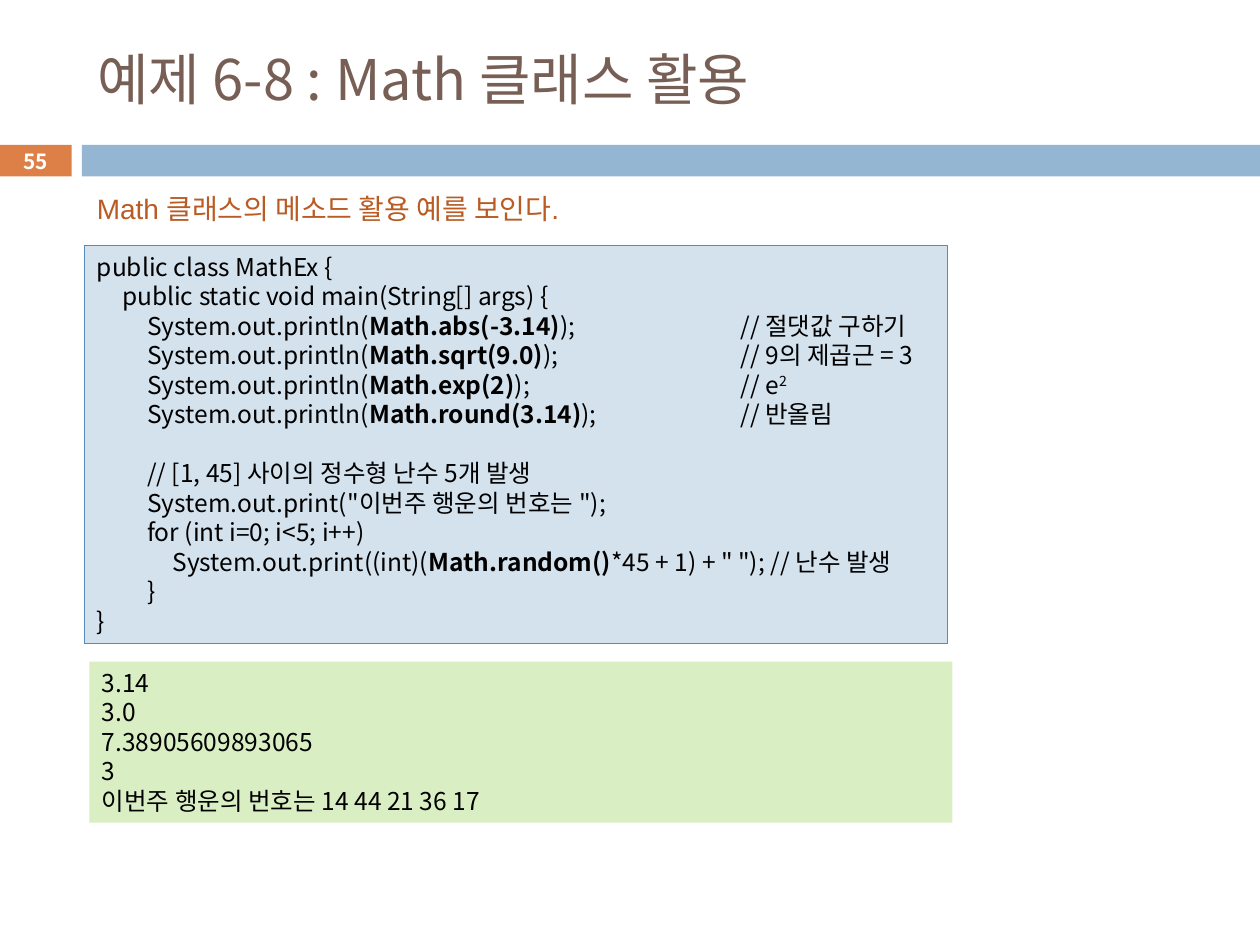
from dataclasses import dataclass

from lxml import etree
from pptx import Presentation, util as u
from pptx.dml.color import RGBColor
from pptx.enum import shapes, text
from pptx.oxml import ns

Inches, Pt = u.Inches, u.Pt
BOLD, SUPERSCRIPT = {"bold": True}, {"baseline": "30000"}


@dataclass(frozen=True)
class Theme:
    """Colours, fonts and sizes of the slide."""
    sans: str = "Noto Sans CJK KR"
    latin: str = "Arial"
    title: str = "775F55"
    subtitle: str = "B95B22"
    body: str = "000000"
    white: str = "FFFFFF"
    badge: str = "DD8047"
    band: str = "94B6D2"
    code_fill: str = "D4E2ED"
    code_line: str = "558BB8"
    output_fill: str = "DAEEC4"
    title_size: float = 32
    subtitle_size: float = 16
    body_size: float = 14
    number_size: float = 11.9
    line_pitch: float = 16.85


THEME = Theme()
TAB_STOPS = (0.2, 0.4, 0.6, 5.11)


def call(method, comment):
    """Return the runs of a print line with its trailing comment."""
    return [("\t\tSystem.out.println(", {}), (method, BOLD), (f"); \t// {comment}", {})]


CODE = [
    [("public class MathEx {", {})],
    [("\tpublic static void main(String[] args) {", {})],
    call("Math.abs(-3.14)", "절댓값 구하기"),
    call("Math.sqrt(9.0)", "9의 제곱근 = 3"),
    call("Math.exp(2)", "e") + [("2", SUPERSCRIPT)],
    call("Math.round(3.14)", "반올림"),
    [],
    [("\t\t// [1, 45] 사이의 정수형 난수 5개 발생", {})],
    [("\t\tSystem.out.print(\"이번주 행운의 번호는 \");", {})],
    [("\t\tfor (int i=0; i<5; i++)", {})],
    [("\t\t\tSystem.out.print((int)(", {}), ("Math.random()", BOLD),
     ("*45 + 1) + \" \"); // 난수 발생", {})],
    [("\t\t}", {})],
    [("}", {})],
]
OUTPUT = ["3.14", "3.0", "7.38905609893065", "3", "이번주 행운의 번호는 14 44 21 36 17"]


def set_values(target, values):
    """Set each named attribute of the target."""
    for name, value in values.items():
        setattr(target, name, value)


def place(part, box):
    """Move and size a part to a box in inches."""
    set_values(part, dict(zip(("left", "top", "width", "height"), map(Inches, box))))


def add_run(paragraph, wording, size, color, latin=THEME.sans, bold=False, baseline=None):
    """Add one formatted run with Latin and East Asian fonts."""
    run = paragraph.add_run()
    run.text = wording
    set_values(run.font, {"size": Pt(size), "name": latin, "bold": bold})
    run.font.color.rgb = RGBColor.from_string(color)
    properties = run.font._element
    etree.SubElement(properties, ns.qn("a:ea")).set("typeface", THEME.sans)
    if baseline:
        properties.set("baseline", baseline)


def add_panel(slide, box, fill, line=None):
    """Add a flat rectangle."""
    panel = slide.shapes.add_shape(shapes.MSO_SHAPE.RECTANGLE, *map(Inches, box))
    panel.shadow.inherit = False
    panel.fill.solid()
    panel.fill.fore_color.rgb = RGBColor.from_string(fill)
    if line:
        panel.line.color.rgb = RGBColor.from_string(line)
        panel.line.width = Pt(0.75)
    else:
        panel.line.fill.background()
    return panel


def add_tab_stops(paragraph):
    """Give a paragraph the tab stops of the code listing."""
    tabs = etree.SubElement(paragraph._p.get_or_add_pPr(), ns.qn("a:tabLst"))
    for stop in TAB_STOPS:
        etree.SubElement(tabs, ns.qn("a:tab"), pos=str(Inches(stop)), algn="l")


def add_listing(slide, box, lines, fill, line=None):
    """Add a panel holding lines of runs at an even pitch."""
    frame = add_panel(slide, box, fill, line).text_frame
    set_values(frame, {"word_wrap": True, "vertical_anchor": text.MSO_ANCHOR.TOP})
    for index, runs in enumerate(lines):
        paragraph = frame.add_paragraph() if index else frame.paragraphs[0]
        add_tab_stops(paragraph)
        set_values(paragraph, {"alignment": text.PP_ALIGN.LEFT,
                               "line_spacing": Pt(THEME.line_pitch)})
        paragraph.font.size = Pt(THEME.body_size)
        for wording, style in runs:
            add_run(paragraph, wording, THEME.body_size, THEME.body, **style)


def add_title(slide, box):
    """Place and format the title placeholder."""
    title = slide.shapes.title
    place(title, box)
    set_values(title.text_frame, {"word_wrap": True, "vertical_anchor": text.MSO_ANCHOR.MIDDLE})
    paragraph = title.text_frame.paragraphs[0]
    paragraph.alignment = text.PP_ALIGN.LEFT
    add_run(paragraph, "예제 6-8 : Math 클래스 활용", THEME.title_size, THEME.title)


def add_header_band(slide, box):
    """Add the number badge and the band to its right."""
    left, top, width, height = box
    badge_width, band_left = 0.57, 0.65
    badge = add_panel(slide, (left, top, badge_width, height), THEME.badge)
    add_panel(slide, (left + band_left, top, width - band_left, height), THEME.band)
    frame = badge.text_frame
    margins = ("margin_left", "margin_right", "margin_top", "margin_bottom")
    set_values(frame, dict.fromkeys(margins, 0))
    frame.vertical_anchor = text.MSO_ANCHOR.MIDDLE
    number = frame.paragraphs[0]
    number.alignment = text.PP_ALIGN.CENTER
    add_run(number, "55", THEME.number_size, THEME.white, bold=True)


def add_subtitle(slide, box):
    """Add the sentence that introduces the example."""
    frame = slide.shapes.add_textbox(*map(Inches, box)).text_frame
    frame.word_wrap = True
    add_run(frame.paragraphs[0], "Math 클래스의 메소드 활용 예를 보인다.",
            THEME.subtitle_size, THEME.subtitle, THEME.latin)


def main():
    """Build and save the slide."""
    deck = Presentation()
    set_values(deck, {"slide_width": Inches(10), "slide_height": Inches(7.5)})
    slide = deck.slides.add_slide(deck.slide_layouts[5])
    add_header_band(slide, (0, 1.15, 10, 0.25))
    add_title(slide, (0.67, 0.25, 8.92, 0.74))
    add_subtitle(slide, (0.67, 1.47, 4.33, 0.37))
    add_listing(slide, (0.67, 1.95, 6.85, 3.16), CODE, THEME.code_fill, THEME.code_line)
    add_listing(slide, (0.71, 5.25, 6.85, 1.28), [[(row, {})] for row in OUTPUT],
                THEME.output_fill)
    deck.save("out.pptx")


if __name__ == "__main__":
    main()
